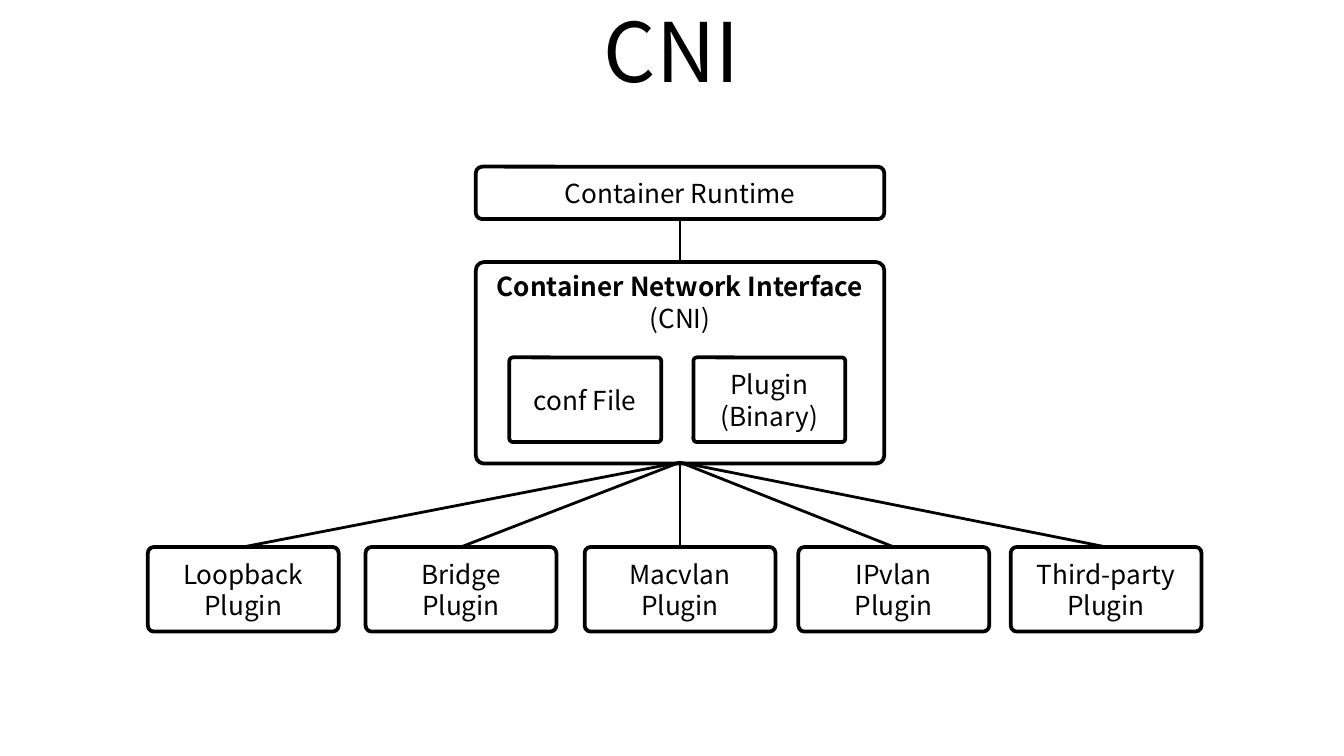
from lxml import etree
from pptx import Presentation
from pptx.dml.color import RGBColor
from pptx.enum.shapes import MSO_CONNECTOR, MSO_SHAPE
from pptx.enum.text import MSO_ANCHOR, PP_ALIGN
from pptx.oxml.ns import qn
from pptx.util import Inches, Pt

BLACK = RGBColor(0x00, 0x00, 0x00)
WHITE = RGBColor(0xFF, 0xFF, 0xFF)
FONT = "Noto Sans CJK KR"
ROUNDED = MSO_SHAPE.ROUNDED_RECTANGLE
STRAIGHT = MSO_CONNECTOR.STRAIGHT
TOP, MIDDLE = MSO_ANCHOR.TOP, MSO_ANCHOR.MIDDLE
CENTER = PP_ALIGN.CENTER

HUB_X = 5.06
CNI_BOTTOM = 3.44
PLUGIN_TOP, PLUGIN_WIDTH = 4.07, 1.42
PLUGINS = [  # name, centre
    ("Loopback", 1.81),
    ("Bridge", 3.43),
    ("Macvlan", HUB_X),
    ("IPvlan", 6.65),
    ("Third-party", 8.23),
]


def write_lines(tf, lines, size, spacing, bold_first=False):
    for i, line in enumerate(lines):
        p = tf.paragraphs[0] if i == 0 else tf.add_paragraph()
        p.text = line
        p.alignment = CENTER
        p.line_spacing = spacing
        p.font.name = FONT
        p.font.size = Pt(size)
        p.font.bold = bold_first and i == 0
        p.font.color.rgb = BLACK


def add_title(slide, text):
    tf = slide.shapes.add_textbox(
        Inches(0.5), Inches(-0.1), Inches(9), Inches(0.94)).text_frame
    tf.word_wrap = True
    tf.vertical_anchor = MIDDLE
    write_lines(tf, [text], 44, 1.0)


def add_box(slide, x, y, w, h, lines, radius, anchor=MIDDLE, bold_first=False):
    sp = slide.shapes.add_shape(ROUNDED, Inches(x), Inches(y), Inches(w), Inches(h))
    sp.adjustments[0] = radius
    sp.shadow.inherit = False
    sp.fill.solid()
    sp.fill.fore_color.rgb = WHITE
    sp.line.color.rgb = BLACK
    sp.line.width = Pt(2)
    tf = sp.text_frame
    tf.word_wrap = True
    tf.vertical_anchor = anchor
    tf.margin_left = tf.margin_right = Inches(0.05)
    write_lines(tf, lines, 14, Pt(17), bold_first)
    return sp


def add_line(slide, x1, y1, x2, y2):
    line = slide.shapes.add_connector(
        STRAIGHT, Inches(x1), Inches(y1), Inches(x2), Inches(y2))
    line.line.color.rgb = BLACK
    line.line.width = Pt(1.5)
    etree.SubElement(line._element.spPr, qn("a:effectLst"))


def main():
    # 16:9 page
    prs = Presentation()
    prs.slide_width = Inches(10)
    prs.slide_height = prs.slide_width * 9 // 16
    slide = prs.slides.add_slide(prs.slide_layouts[6])

    add_title(slide, "CNI")

    # Runtime and the interface below it
    add_box(slide, 3.54, 1.24, 3.04, 0.39, ["Container Runtime"], 0.125)
    cni = add_box(slide, 3.54, 1.95, 3.04, 1.5,
                  ["Container Network Interface", "(CNI)"], 0.041, TOP, True)
    cni.text_frame.margin_top = Inches(0.04)
    add_line(slide, HUB_X, 1.63, HUB_X, 1.95)

    # Parts of the interface
    for x, lines in [(3.79, ["conf File"]), (5.16, ["Plugin", "(Binary)"])]:
        add_box(slide, x, 2.66, 1.13, 0.63, lines, 0.041)

    # Plugins fanning out from the interface
    for name, center in PLUGINS:
        add_box(slide, center - PLUGIN_WIDTH / 2, PLUGIN_TOP, PLUGIN_WIDTH, 0.63,
                [name, "Plugin"], 0.072)
        add_line(slide, HUB_X, CNI_BOTTOM, center, PLUGIN_TOP)

    prs.save("out.pptx")


if __name__ == "__main__":
    main()
